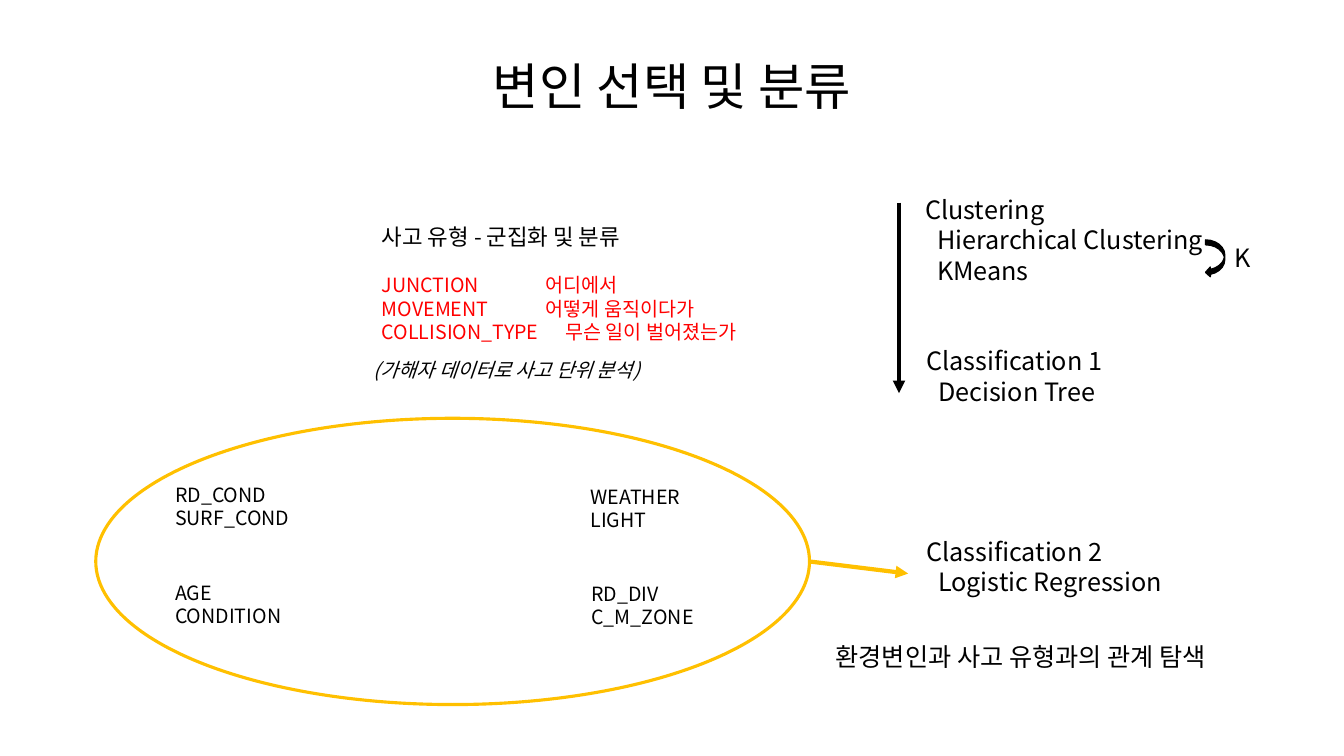
from dataclasses import dataclass

from lxml import etree
from pptx import Presentation
from pptx.dml.color import RGBColor
from pptx.enum.shapes import MSO_CONNECTOR, MSO_SHAPE
from pptx.enum.text import MSO_ANCHOR, PP_ALIGN
from pptx.oxml.ns import qn
from pptx.util import Pt

STRAIGHT = MSO_CONNECTOR.STRAIGHT
OVAL = MSO_SHAPE.OVAL
CURVED_ARROW = MSO_SHAPE.CURVED_LEFT_ARROW
MIDDLE = MSO_ANCHOR.MIDDLE
CENTER = PP_ALIGN.CENTER


@dataclass(frozen=True)
class Theme:
    font: str = "Noto Sans CJK KR"
    black: str = "000000"
    red: str = "FF0000"
    gold: str = "FFC000"
    title: int = 36
    method: int = 18
    heading: int = 16
    variable: int = 14


THEME = Theme()

# Boxes are left, top, width, height in points.
TITLE = ("변인 선택 및 분류", (66, 29, 828, 70))
ACCIDENT_HEADING = "사고 유형 - 군집화 및 분류"
ACCIDENT_BOX = (265.7, 155.5, 358, 114)
ACCIDENT_ROWS = [  # variable, meaning, tab stop
    ("JUNCTION", "어디에서", 117),
    ("MOVEMENT", "어떻게 움직이다가", 117),
    ("COLLISION_TYPE", "무슨 일이 벌어졌는가", 131),
]
NOTE = ("(가해자 데이터로 사고 단위 분석)", (260, 252, 326, 24.5))
METHODS = [
    (["Clustering", "Hierarchical Clustering", "KMeans"], (653.8, 135.4, 229, 73)),
    (["Classification 1", "Decision Tree"], (654.5, 243.4, 200, 51)),
    (["Classification 2", "Logistic Regression"], (654.5, 379.4, 198, 51)),
]
LABELS = [
    ("K", (874.8, 169.2, 29.5, 29)),
    ("환경변인과 사고 유형과의 관계 탐색", (589.7, 454.3, 314, 29)),
]
VARIABLES = [
    (["RD_COND", "SURF_COND"], (118, 341.3)),
    (["WEATHER", "LIGHT"], (414.7, 342.7)),
    (["AGE", "CONDITION"], (118, 411.1)),
    (["RD_DIV", "C_M_ZONE"], (415.4, 411.8)),
]
VARIABLE_SIZE = (153, 41)
ENVIRONMENT_OVAL = (68.4, 298.8, 509.8, 204.5)
K_ARROW = (861.1, 171.4, 13.7, 26.6)
FLOW_ARROW = (642.2, 144.7, 642.2, 280.8)
REGRESSION_END = (648.7, 409.7)
METHOD_INDENT = 8.5
HEADING_GAP = 17


def points(values):
    return [Pt(value) for value in values]


def color(value):
    return RGBColor.from_string(value)


def add_frame(page, box):
    frame = page.shapes.add_textbox(*points(box)).text_frame
    frame.word_wrap = True
    return frame


def add_line(frame, text, size, ink=THEME.black, italic=None):
    """Append a paragraph, using the frame's first one while it is empty."""
    first = frame.paragraphs[0]
    para = frame.add_paragraph() if first.runs else first
    span = para.add_run()
    span.text = text
    span.font.size = Pt(size)
    span.font.italic = italic
    span.font.color.rgb = color(ink)
    span.font.name = THEME.font
    etree.SubElement(span.font._element, qn("a:ea"), typeface=THEME.font)
    return para


def set_indent(para, left):
    props = para._p.get_or_add_pPr()
    props.set("marL", str(Pt(left)))
    props.set("indent", "0")


def add_tab(para, position):
    tabs = etree.SubElement(para._p.get_or_add_pPr(), qn("a:tabLst"))
    etree.SubElement(tabs, qn("a:tab"), pos=str(Pt(position)), algn="l")


def add_outline_shape(page, kind, box, ink, width):
    shape = page.shapes.add_shape(kind, *points(box))
    shape.shadow.inherit = False
    shape.fill.background()
    shape.line.color.rgb = color(ink)
    shape.line.width = Pt(width)
    return shape


def add_arrow(page, ends, ink):
    arrow = page.shapes.add_connector(STRAIGHT, *points(ends))
    arrow.line.color.rgb = color(ink)
    arrow.line.width = Pt(3)
    etree.SubElement(arrow.line._get_or_add_ln(), qn("a:tailEnd"), type="triangle")
    etree.SubElement(arrow._element.spPr, qn("a:effectLst"))


def add_accident_types(page):
    frame = add_frame(page, ACCIDENT_BOX)
    add_line(frame, ACCIDENT_HEADING, THEME.heading)
    for row, (variable, meaning, stop) in enumerate(ACCIDENT_ROWS):
        para = add_line(frame, f"{variable}\t{meaning}", THEME.variable, THEME.red)
        if row == 0:
            para.space_before = Pt(HEADING_GAP)
        add_tab(para, stop)
    text, box = NOTE
    add_line(add_frame(page, box), text, THEME.variable, italic=True)


def add_methods(page):
    for (name, *techniques), box in METHODS:
        frame = add_frame(page, box)
        add_line(frame, name, THEME.method)
        for technique in techniques:
            set_indent(add_line(frame, technique, THEME.method), METHOD_INDENT)
    for text, box in LABELS:
        add_line(add_frame(page, box), text, THEME.method)
    k_arrow = add_outline_shape(page, CURVED_ARROW, K_ARROW, THEME.black, 1)
    k_arrow.fill.solid()
    k_arrow.fill.fore_color.rgb = color(THEME.black)
    add_arrow(page, FLOW_ARROW, THEME.black)


def add_environment(page):
    for names, corner in VARIABLES:
        frame = add_frame(page, corner + VARIABLE_SIZE)
        for name in names:
            add_line(frame, name, THEME.variable)
    add_outline_shape(page, OVAL, ENVIRONMENT_OVAL, THEME.gold, 2.25)
    left, top, width, height = ENVIRONMENT_OVAL
    start = (left + width, top + height / 2)
    add_arrow(page, start + REGRESSION_END, THEME.gold)


def main():
    deck = Presentation()
    deck.slide_width, deck.slide_height = Pt(960), Pt(540)
    page = deck.slides.add_slide(deck.slide_layouts[6])
    text, box = TITLE
    frame = add_frame(page, box)
    frame.vertical_anchor = MIDDLE
    para = add_line(frame, text, THEME.title)
    para.alignment = CENTER
    para.line_spacing = 0.9
    add_accident_types(page)
    add_methods(page)
    add_environment(page)
    deck.save("out.pptx")


if __name__ == "__main__":
    main()
